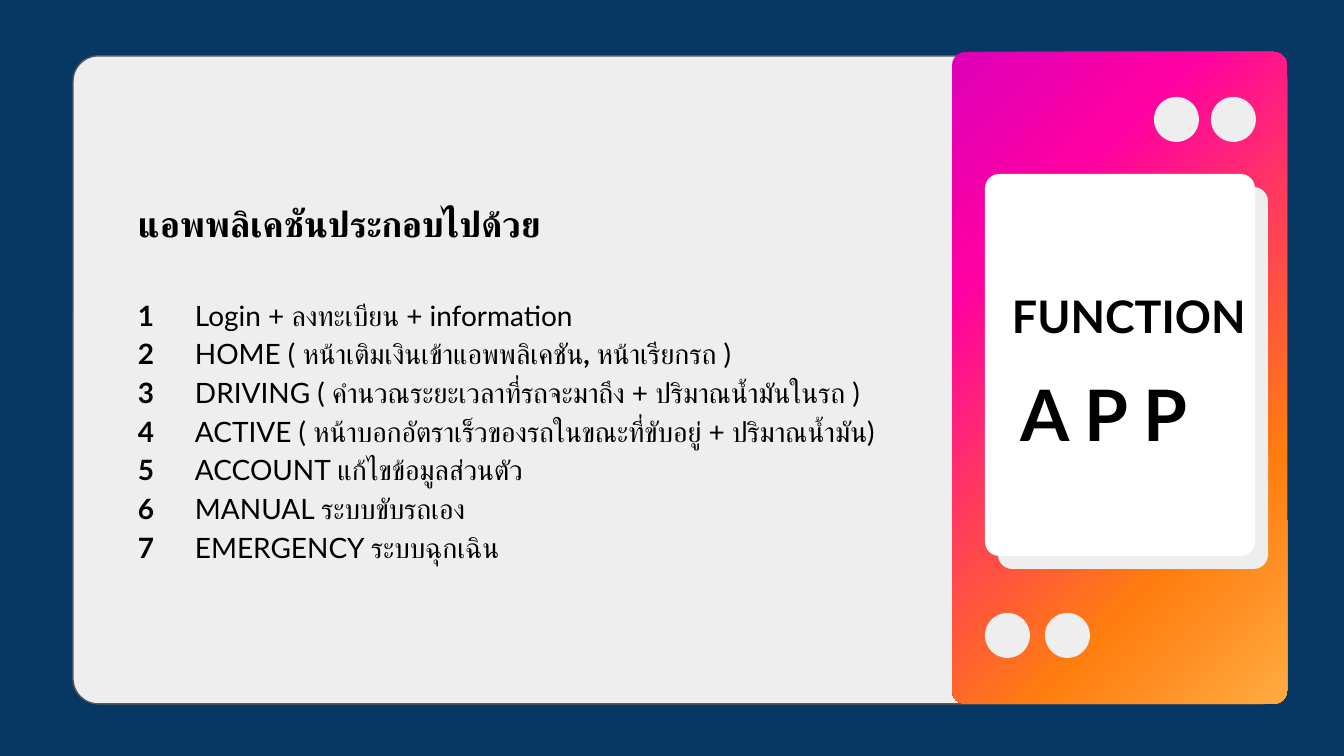
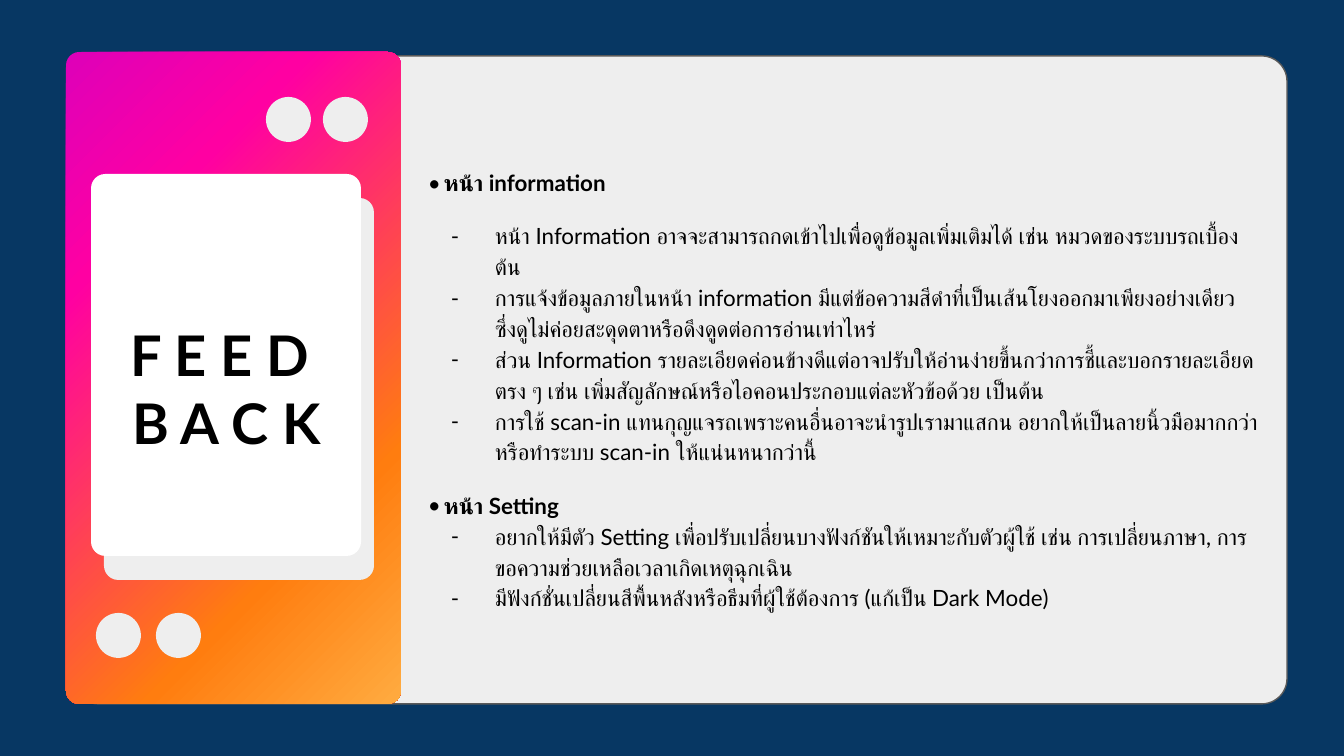
from dataclasses import dataclass

from lxml.etree import SubElement
from pptx import Presentation
from pptx.dml.color import RGBColor
from pptx.enum.shapes import MSO_SHAPE
from pptx.enum.text import MSO_AUTO_SIZE, PP_ALIGN
from pptx.oxml.ns import qn
from pptx.util import Emu, Pt

EMU_PER_PX = 9144000 / 1344


def px(n):
    return Emu(round(n * EMU_PER_PX))


@dataclass(frozen=True)
class Theme:
    navy: str = "073763"
    pale: str = "EEEEEE"
    white: str = "FFFFFF"
    black: str = "000000"
    outline: str = "595959"
    sunset: tuple = ((0, "DE00B9"), (25, "FF00A2"), (74, "FF7D0F"), (100, "FFAB40"))
    font: str = "Lato"
    display: int = 38
    title: int = 30
    label: int = 24
    heading: int = 19
    item: int = 15
    note: int = 12
    spacing: float = 1.15


class Deck:
    def __init__(self, theme):
        self.t = theme
        self.prs = Presentation()
        self.prs.slide_width, self.prs.slide_height = px(1344), px(756)
        self.s = None

    def slide(self):
        self.s = self.prs.slides.add_slide(self.prs.slide_layouts[6])
        fill = self.s.background.fill
        fill.solid()
        fill.fore_color.rgb = RGBColor.from_string(self.t.navy)
        # Large content board
        self.shape(73, 56, 1214, 648, self.t.pale, radius=0.039, line=self.t.outline)

    def shape(self, x, y, w, h, color, radius=None, line=None):
        kind = MSO_SHAPE.OVAL if radius is None else MSO_SHAPE.ROUNDED_RECTANGLE
        sp = self.s.shapes.add_shape(kind, px(x), px(y), px(w), px(h))
        sp.shadow.inherit = False
        if radius is not None:
            sp.adjustments[0] = radius
        if isinstance(color, str):
            sp.fill.solid()
            sp.fill.fore_color.rgb = RGBColor.from_string(color)
        else:
            self.gradient(sp, color)
        if line:
            sp.line.color.rgb = RGBColor.from_string(line)
            sp.line.width = Pt(0.75)
        else:
            sp.line.fill.background()

    def gradient(self, sp, stops):
        sp.fill.gradient()
        sp.fill.gradient_angle = 315
        gs_list = sp._element.spPr.find(qn("a:gradFill")).find(qn("a:gsLst"))
        for gs in list(gs_list):
            gs_list.remove(gs)
        for pos, color in stops:
            gs = SubElement(gs_list, qn("a:gs"), pos=str(pos * 1000))
            SubElement(gs, qn("a:srgbClr"), val=color)

    def panel(self, x, card, shade, top_dots, bottom_dots):
        """Gradient side panel; card, shade and dots are offsets from its left."""
        self.shape(x, 52, 335, 652, self.t.sunset, radius=0.04)
        for (dx, y), color in ((shade, self.t.pale), (card, self.t.white)):
            self.shape(x + dx, y, 270, 382, color, radius=0.053)
        for dx, y, step in ((top_dots, 97, 57), (bottom_dots, 613, 60)):
            for i in range(2):
                self.shape(x + dx + i * step, y, 45, 45, self.t.pale)

    def text_box(self, x, y, w, h):
        tf = self.s.shapes.add_textbox(px(x), px(y), px(w), px(h)).text_frame
        fmt = {"word_wrap": True, "auto_size": MSO_AUTO_SIZE.SHAPE_TO_FIT_TEXT}
        fmt |= {f"margin_{side}": px(13) for side in ("left", "top", "right", "bottom")}
        for name, value in fmt.items():
            setattr(tf, name, value)
        return tf

    def paragraph(self, tf, parts, size, bullet=None, indent=(0, 0), tab=None, **fmt):
        """Add a paragraph whose parts alternate between bold and regular."""
        p = tf.paragraphs[0]
        if p.runs:
            p = tf.add_paragraph()
        pPr = p._p.get_or_add_pPr()
        if bullet:
            pPr.set("marL", str(px(indent[0])))
            pPr.set("indent", str(px(indent[1])))
            clr = SubElement(pPr, qn("a:buClr"))
            SubElement(clr, qn("a:srgbClr"), val=self.t.black)
            SubElement(pPr, qn("a:buFont"), typeface=self.t.font)
            SubElement(pPr, qn("a:buChar"), char=bullet)
        if tab:
            tabs = SubElement(pPr, qn("a:tabLst"))
            SubElement(tabs, qn("a:tab"), pos=str(px(tab)), algn="l")
        for name, value in fmt.items():
            setattr(p, name, value)
        for i, part in enumerate(parts):
            if part:
                self.run(p, part, size, bold=i % 2 == 0)

    def run(self, p, text, size, bold):
        r = p.add_run()
        r.text = text
        for name, value in {"size": Pt(size), "bold": bold, "name": self.t.font}.items():
            setattr(r.font, name, value)
        r.font.color.rgb = RGBColor.from_string(self.t.black)
        for script in ("a:ea", "a:cs"):
            SubElement(r._r.get_or_add_rPr(), qn(script), typeface=self.t.font)


FUNCTIONS = (
    ("Login + ลงทะเบียน + information",),
    ("HOME ( หน้าเติมเงินเข้าแอพพลิเคชัน", ", ", "หน้าเรียกรถ )"),
    ("DRIVING ( คำนวณระยะเวลาที่รถจะมาถึง + ปริมาณน้ำมันในรถ )",),
    ("ACTIVE ( หน้าบอกอัตราเร็วของรถในขณะที่ขับอยู่ + ปริมาณน้ำมัน)",),
    ("ACCOUNT แก้ไขข้อมูลส่วนตัว",),
    ("MANUAL ระบบขับรถเอง",),
    ("EMERGENCY ระบบฉุกเฉิน",),
)

# Heading, space before the first note, notes
FEEDBACK = (
    ("หน้า information", 12, (
        "หน้า Information อาจจะสามารถกดเข้าไปเพื่อดูข้อมูลเพิ่มเติมได้ เช่น หมวดของระบบรถเบื้องต้น",
        "การแจ้งข้อมูลภายในหน้า information มีแต่ข้อความสีดำที่เป็นเส้นโยงออกมาเพียงอย่างเดียว "
        "ซึ่งดูไม่ค่อยสะดุดตาหรือดึงดูดต่อการอ่านเท่าไหร่",
        "ส่วน Information รายละเอียดค่อนข้างดีแต่อาจปรับให้อ่านง่ายขึ้นกว่าการชี้และบอกรายละเอียดตรง ๆ "
        "เช่น เพิ่มสัญลักษณ์หรือไอคอนประกอบแต่ละหัวข้อด้วย เป็นต้น",
        "การใช้ scan-in แทนกุญแจรถเพราะคนอื่นอาจะนำรูปเรามาแสกน "
        "อยากให้เป็นลายนิ้วมือมากกว่าหรือทำระบบ scan-in ให้แน่นหนากว่านี้",
    )),
    ("หน้า Setting", 0, (
        "อยากให้มีตัว Setting เพื่อปรับเปลี่ยนบางฟังก์ชันให้เหมาะกับตัวผู้ใช้ เช่น การเปลี่ยนภาษา, "
        "การขอความช่วยเหลือเวลาเกิดเหตุฉุกเฉิน",
        "มีฟังก์ชั่นเปลี่ยนสีพื้นหลังหรือธีมที่ผู้ใช้ต้องการ (แก้เป็น Dark Mode)",
    )),
)


def function_slide(d):
    t = d.t
    d.slide()

    # Numbered functions
    tf = d.text_box(125, 183, 860, 394)
    d.paragraph(tf, ["แอพพลิเคชันประกอบไปด้วย"], t.heading, line_spacing=t.spacing)
    for n, parts in enumerate(FUNCTIONS, 1):
        d.paragraph(tf, [f"{n}\t", *parts], t.item, tab=57, line_spacing=t.spacing,
                    space_before=Pt(26 if n == 1 else 0))

    # Side panel and title
    d.panel(952, card=(33, 174), shade=(46, 187), top_dots=202, bottom_dots=33)
    d.paragraph(d.text_box(1007, 358, 253, 199), ["A P P"], t.display)
    d.paragraph(d.text_box(999, 276, 300, 82), ["FUNCTION"], t.label)


def feedback_slide(d):
    t = d.t
    d.slide()

    # Side panel and title
    d.panel(66, card=(25, 174), shade=(38, 198), top_dots=200, bottom_dots=30)
    tf = d.text_box(113, 308, 227, 163)
    for word in ("F E E D ", "B A C K "):
        d.paragraph(tf, [word], t.title, alignment=PP_ALIGN.CENTER)

    # Feedback by page
    tf = d.text_box(415, 152, 859, 474)
    for i, (heading, gap, notes) in enumerate(FEEDBACK):
        d.paragraph(tf, [heading], t.note, bullet="•", indent=(16, -16),
                    line_spacing=t.spacing, space_before=Pt(12 if i else 0))
        for j, note in enumerate(notes):
            d.paragraph(tf, ["", note], t.note, bullet="-", indent=(67, -44),
                        line_spacing=t.spacing, space_before=Pt(0 if j else gap))


def main():
    d = Deck(Theme())
    function_slide(d)
    feedback_slide(d)
    d.prs.save("out.pptx")


if __name__ == "__main__":
    main()
